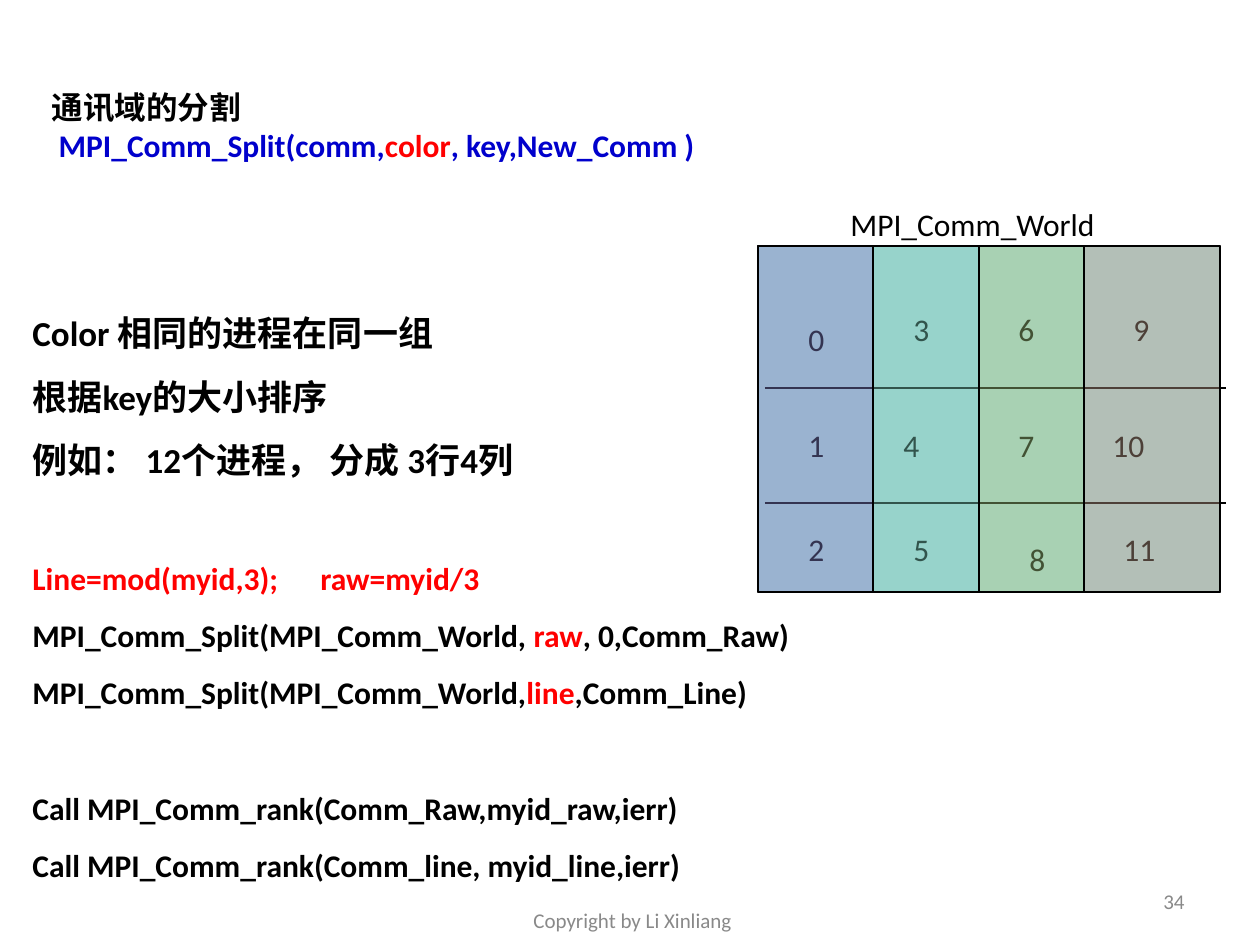
from lxml import etree
from pptx import Presentation
from pptx.dml.color import RGBColor
from pptx.enum.shapes import MSO_CONNECTOR as Link, MSO_SHAPE as Shape
from pptx.enum.text import MSO_ANCHOR as Anchor, MSO_AUTO_SIZE as Fit, PP_ALIGN as Align
from pptx.oxml.ns import qn
from pptx.util import Emu, Pt

PX = 914400 / 126
BLACK = RGBColor(0x00, 0x00, 0x00)
BLUE = RGBColor(0x00, 0x00, 0xCC)
RED = RGBColor(0xFF, 0x00, 0x00)
GRAY = RGBColor(0x89, 0x89, 0x89)
PALE = RGBColor(0xCC, 0xFF, 0xFF)
TINTS = [RGBColor(0x69, 0x69, 0xA3), RGBColor(0x64, 0xA8, 0x99),
         RGBColor(0x85, 0xA4, 0x68), RGBColor(0x9B, 0x81, 0x71)]

EDGES = [758, 873, 979, 1084, 1220]
TOP, TALL = 246, 346
RULES = [388, 503]
RANK_X = [796, 901, 1006, 1121]
RANK_Y = [304, 420, 524]
SHIFTS = {0: (0, 10), 4: (-10, 0), 8: (11, 10), 10: (-21, 0), 11: (-10, 0)}

HEAD = [[("通讯域的分割", BLACK)],
        [(" MPI_Comm_Split(comm,", BLUE), ("color", RED), (", key,New_Comm )", BLUE)]]
# Size, space before, runs
NOTES = [
    (20, 0, [("Color 相同的进程在同一组", BLACK)]),
    (20, 12.5, [("根据key的大小排序", BLACK)]),
    (20, 12.5, [("例如： 12个进程， 分成 3行4列", BLACK)]),
    (18, 44.4, [("Line=mod(myid,3);\traw=myid/3", RED)]),
    (18, 11.2, [("MPI_Comm_Split(MPI_Comm_World, ", BLACK), ("raw", RED),
                (", 0,Comm_Raw)", BLACK)]),
    (18, 11.2, [("MPI_Comm_Split(MPI_Comm_World,", BLACK), ("line", RED),
                (",Comm_Line)", BLACK)]),
    (18, 44.4, [("Call MPI_Comm_rank(Comm_Raw,myid_raw,ierr)", BLACK)]),
    (18, 11.2, [("Call MPI_Comm_rank(Comm_line, myid_line,ierr)", BLACK)]),
]


def px(*nums):
    return [Emu(round(n * PX)) for n in nums]


def style(item, **values):
    for name, value in values.items():
        setattr(item, name, value)


def write(para, runs, size=18, bold=False):
    for text, color in runs:
        run = para.add_run()
        run.text = text
        style(run.font, name="Calibri", size=Pt(size), bold=bold)
        run.font.color.rgb = color


def frame(shape, anchor=Anchor.TOP):
    text = shape.text_frame
    style(text, word_wrap=True, auto_size=Fit.NONE, vertical_anchor=anchor)
    return text


def add_title(slide):
    title = slide.shapes.title
    style(title, **dict(zip(("left", "top", "width", "height"), px(39, 82, 984, 126))))
    text = frame(title)
    for i, runs in enumerate(HEAD):
        para = text.add_paragraph() if i else text.paragraphs[0]
        para.alignment = Align.LEFT
        write(para, runs, bold=True)


def add_label(slide, box, words, size=18, color=BLACK, align=Align.LEFT, anchor=Anchor.TOP):
    para = frame(slide.shapes.add_textbox(*px(*box)), anchor).paragraphs[0]
    para.alignment = align
    write(para, [(words, color)], size)


def add_tab(para, pos):
    stops = etree.SubElement(para._p.get_or_add_pPr(), qn("a:tabLst"))
    etree.SubElement(stops, qn("a:tab"), pos=str(px(pos)[0]), algn="l")


def add_notes(slide):
    text = frame(slide.shapes.add_textbox(*px(20, 305, 1191, 643)))
    for i, (size, gap, runs) in enumerate(NOTES):
        para = text.add_paragraph() if i else text.paragraphs[0]
        if "\t" in runs[0][0]:
            add_tab(para, 288)
        para.space_before = Pt(gap)
        write(para, runs, size, bold=True)


def add_rect(slide, box, color, alpha=None):
    rect = slide.shapes.add_shape(Shape.RECTANGLE, *px(*box))
    rect.shadow.inherit = False
    rect.fill.solid()
    rect.fill.fore_color.rgb = color
    rect.line.color.rgb = BLACK
    rect.line.width = Pt(0.75)
    if alpha:
        tone = rect._element.spPr.find(qn("a:solidFill"))[0]
        etree.SubElement(tone, qn("a:alpha"), val=str(alpha * 1000))


def add_line(slide, *ends):
    line = slide.shapes.add_connector(Link.STRAIGHT, *px(*ends))
    line.line.color.rgb = BLACK
    line.line.width = Pt(0.75)
    etree.SubElement(line._element.spPr, qn("a:effectLst"))


def add_grid(slide):
    add_rect(slide, (EDGES[0], TOP, EDGES[-1] - EDGES[0], TALL), PALE)
    for x in EDGES[1:-1]:
        add_line(slide, x, TOP, x, TOP + TALL)
    for y in RULES:
        add_line(slide, 765, y, 1226, y)


def add_ranks(slide):
    for rank in range(12):
        col, row = divmod(rank, 3)
        dx, dy = SHIFTS.get(rank, (0, 0))
        wide = 94 if rank > 9 else 53
        add_label(slide, (RANK_X[col] + dx, RANK_Y[row] + dy, wide, 50), str(rank))


def add_tints(slide):
    for left, right, color in zip(EDGES, EDGES[1:], TINTS):
        add_rect(slide, (left, TOP, right - left, TALL), color, 50)


def main():
    deck = Presentation()
    deck.slide_width, deck.slide_height = px(1260, 945)
    slide = deck.slides.add_slide(deck.slide_layouts[5])
    add_title(slide)
    add_grid(slide)
    add_ranks(slide)
    add_notes(slide)
    add_label(slide, (838, 199, 325, 50), "MPI_Comm_World")
    add_tints(slide)
    foot = dict(size=12, color=GRAY, anchor=Anchor.MIDDLE)
    add_label(slide, (903, 876, 294, 50), "34", align=Align.RIGHT, **foot)
    add_label(slide, (433, 895, 399, 50), "Copyright by Li Xinliang", align=Align.CENTER, **foot)
    deck.save("out.pptx")


if __name__ == "__main__":
    main()
